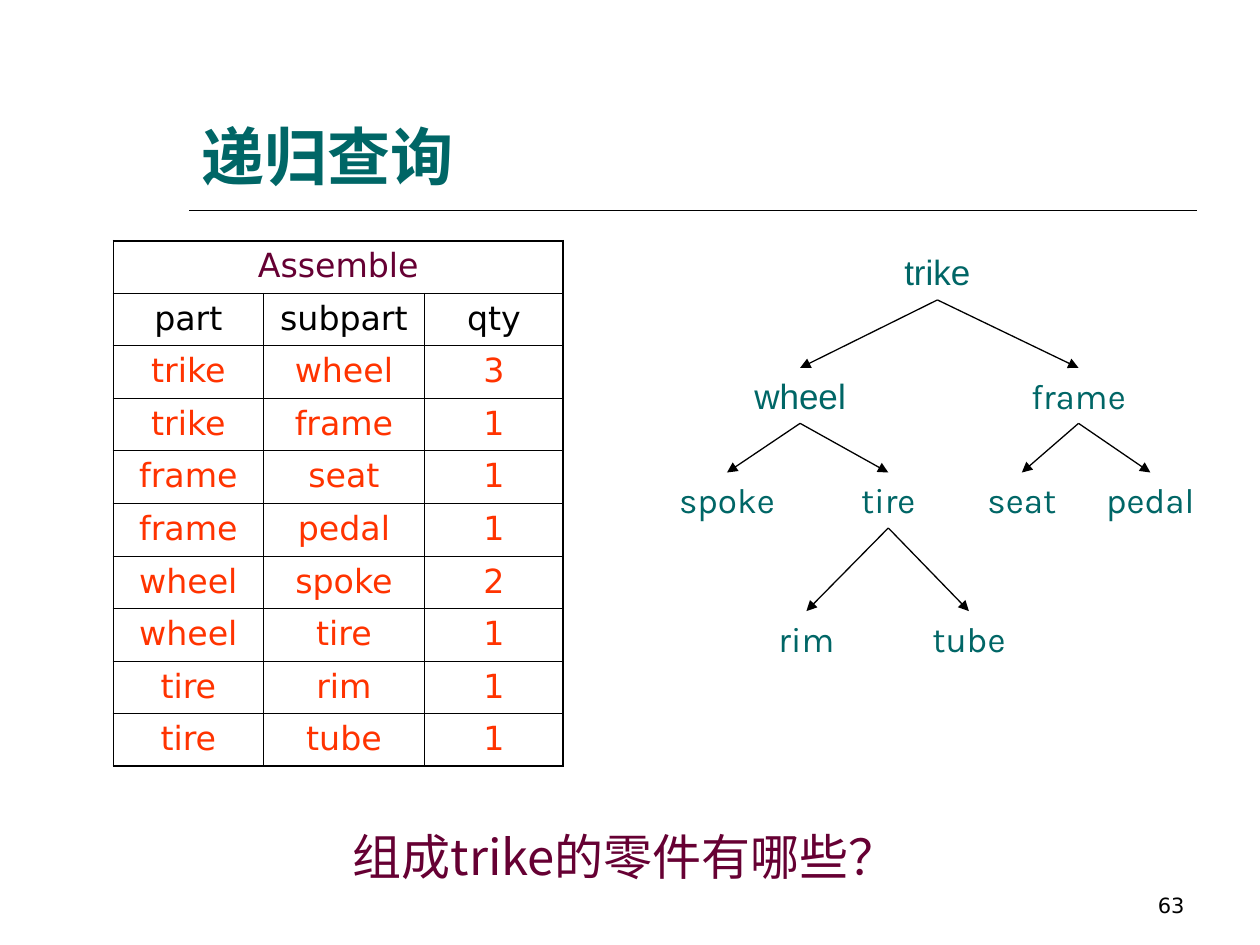
from lxml.etree import SubElement as Sub
from pptx import Presentation
from pptx.dml.color import RGBColor as RGB
from pptx.enum.shapes import MSO_CONNECTOR as Kind
from pptx.enum.text import MSO_ANCHOR as Anchor, PP_ALIGN as Align
from pptx.oxml.ns import qn
from pptx.util import Inches, Pt

ink = RGB.from_string
TEAL, PLUM, RED, BLACK = "006666", "660033", "FF3300", "000000"
HAN = "Noto Sans CJK SC"

deck = Presentation()
deck.slide_width, deck.slide_height = Inches(10), Inches(7.5)
W, H = deck.slide_width / 100, deck.slide_height / 100
slide = deck.slides.add_slide(deck.slide_layouts[5])
shapes = slide.shapes


def spot(left, top, wide, high):
    return [round(n) for n in (left * W, top * H, wide * W, high * H)]


def write(frame, text, size, face, tint, align=Align.CENTER, bold=False):
    para = frame.paragraphs[0]
    para.alignment = align
    run = para.add_run()
    run.text = text
    font = run.font
    font.size, font.name, font.bold = Pt(size), face, bold
    font.color.rgb = ink(tint)
    Sub(run._r.get_or_add_rPr(), qn("a:ea"), typeface=HAN)


title = shapes.title
title.left, title.top, title.width, title.height = spot(15, 4.4, 80, 16.67)
title.text_frame.vertical_anchor = Anchor.BOTTOM
write(title.text_frame, "递归查询", 36, "Arial", TEAL, Align.LEFT, True)

left, level, wide, _ = spot(15, 22.27, 80, 0)
rule = shapes.add_connector(Kind.STRAIGHT, left, level, left + wide, level)
rule.line.width = Pt(1)
wires = [rule]

tiers = [25.87, 38.93, 50, 64.67]
tree = [
    ("trike", None, 0, 74.4, 14.7, "Arial"),
    ("wheel", "trike", 1, 63.5, 16.8, "Arial"),
    ("frame", "trike", 1, 85.6, 17.3, "Karla"),
    ("spoke", "wheel", 2, 57.7, 17.3, "Karla"),
    ("tire", "wheel", 2, 70.5, 13.9, "Karla"),
    ("seat", "frame", 2, 81.1, 14.9, "Karla"),
    ("pedal", "frame", 2, 91.3, 16.8, "Karla"),
    ("rim", "tire", 3, 64, 13.9, "Karla"),
    ("tube", "tire", 3, 76.9, 15.5, "Karla"),
]
nodes = {}
for name, parent, tier, mid, wide, face in tree:
    node = shapes.add_textbox(*spot(mid - wide / 2, tiers[tier], wide, 5.87))
    node.text_frame.word_wrap = True
    write(node.text_frame, name, 20, face, TEAL)
    nodes[name] = node
    if parent:
        wire = shapes.add_connector(Kind.STRAIGHT, 0, 0, 0, 0)
        wire.begin_connect(nodes[parent], 2)
        wire.end_connect(node, 0)
        wire.line.width = Pt(0.75)
        wires.append(wire)

for wire in wires:
    wire.line.color.rgb = ink(BLACK)
    props = wire._element.spPr
    if wire is not rule:
        Sub(props.find(qn("a:ln")), qn("a:tailEnd"), type="triangle")
    Sub(props, qn("a:effectLst"))

rows = [
    ("Assemble", "", ""),
    ("part", "subpart", "qty"),
    ("trike", "wheel", "3"),
    ("trike", "frame", "1"),
    ("frame", "seat", "1"),
    ("frame", "pedal", "1"),
    ("wheel", "spoke", "2"),
    ("wheel", "tire", "1"),
    ("tire", "rim", "1"),
    ("tire", "tube", "1"),
]
last = len(rows) - 1
grid = shapes.add_table(len(rows), 3, *spot(9, 25.47, 35.7, 55.6)).table
grid.first_row = grid.horz_banding = False
for col, wide in zip(grid.columns, (11.9, 12.8, 11)):
    col.width = round(wide * W)
grid.cell(0, 0).merge(grid.cell(0, 2))

for r, row in enumerate(rows):
    for c, text in enumerate(row):
        cell = grid.cell(r, c)
        edges = {"L": c == 0, "R": c == 2 or r == 0, "T": r == 0, "B": r == last}
        for side, outer in edges.items():
            width = Pt(1.08 if outer else 0.45)
            edge = Sub(cell._tc.get_or_add_tcPr(), qn(f"a:ln{side}"), w=str(width))
            Sub(Sub(edge, qn("a:solidFill")), qn("a:srgbClr"), val=BLACK)
        cell.fill.background()
        if text:
            tint = (PLUM, BLACK)[r] if r < 2 else RED
            write(cell.text_frame, text, 19, "DejaVu Sans", tint)

ask = shapes.add_textbox(*spot(24, 86.8, 51.2, 7.6)).text_frame
ask.word_wrap = True
write(ask, "组成trike的零件有哪些？", 28, HAN, PLUM)

page = shapes.add_textbox(*spot(71.7, 91.07, 23.3, 6.67)).text_frame
page.word_wrap = True
page.vertical_anchor = Anchor.BOTTOM
write(page, "63", 12, "DejaVu Sans", BLACK, Align.RIGHT)

deck.save("out.pptx")
